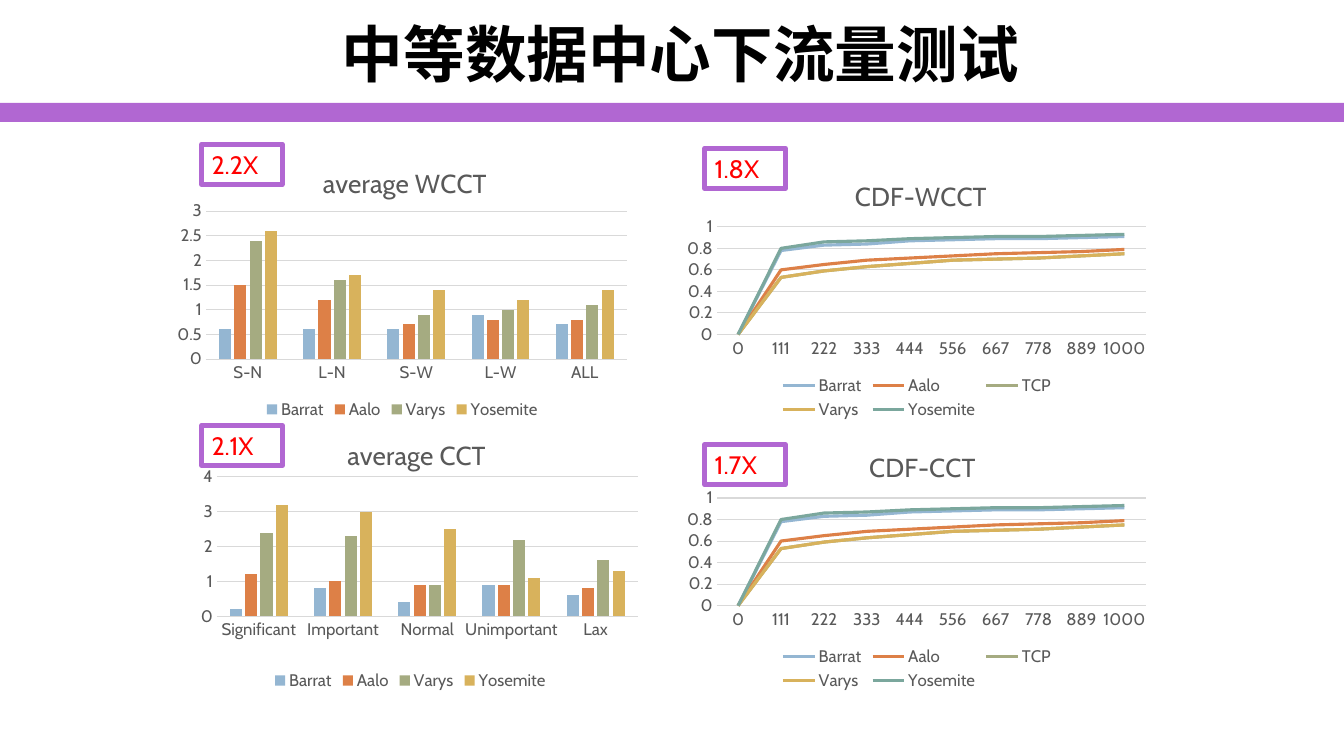
"""Build the slide of traffic test charts for a medium data centre."""
import lxml.etree
import pptx
import pptx.chart.data
import pptx.dml.color
import pptx.enum.chart
import pptx.enum.shapes
import pptx.enum.text
import pptx.oxml.ns
import pptx.util

Inches = pptx.util.Inches
Pt = pptx.util.Pt
RGBColor = pptx.dml.color.RGBColor
ChartType = pptx.enum.chart.XL_CHART_TYPE
qn = pptx.oxml.ns.qn

PURPLE = RGBColor(0xB1, 0x67, 0xD2)
RED = RGBColor(0xFF, 0x00, 0x00)
BLACK = RGBColor(0x00, 0x00, 0x00)
LABEL_GREY = RGBColor(0x59, 0x59, 0x59)
GRID_GREY = RGBColor(0xD9, 0xD9, 0xD9)
SERIES_COLORS = {
    "Barrat": RGBColor(0x94, 0xB6, 0xD2),
    "Aalo": RGBColor(0xDD, 0x80, 0x47),
    "TCP": RGBColor(0xA5, 0xAB, 0x81),
    "Varys": RGBColor(0xD8, 0xB2, 0x5C),
    "Yosemite": RGBColor(0x7B, 0xA7, 0x9D),
}
BAR_COLORS = {
    "Barrat": SERIES_COLORS["Barrat"],
    "Aalo": SERIES_COLORS["Aalo"],
    "Varys": SERIES_COLORS["TCP"],
    "Yosemite": SERIES_COLORS["Varys"],
}

WCCT_GROUPS = ["S-N", "L-N", "S-W", "L-W", "ALL"]
WCCT = {
    "Barrat": [0.6, 0.6, 0.6, 0.9, 0.7],
    "Aalo": [1.5, 1.2, 0.7, 0.8, 0.8],
    "Varys": [2.4, 1.6, 0.9, 1, 1.1],
    "Yosemite": [2.6, 1.7, 1.4, 1.2, 1.4],
}
CCT_GROUPS = ["Significant", "Important", "Normal", "Unimportant", "Lax"]
CCT = {
    "Barrat": [0.2, 0.8, 0.4, 0.9, 0.6],
    "Aalo": [1.2, 1, 0.9, 0.9, 0.8],
    "Varys": [2.4, 2.3, 0.9, 2.2, 1.6],
    "Yosemite": [3.2, 3, 2.5, 1.1, 1.3],
}
CDF_TIMES = [str(round(step * 1000 / 9)) for step in range(10)]
SLOWEST = [0, 0.53, 0.59, 0.63, 0.66, 0.69, 0.7, 0.71, 0.73, 0.75]
CDF = {
    "Barrat": [0, 0.78, 0.83, 0.84, 0.87, 0.88, 0.89, 0.89, 0.9, 0.91],
    "Aalo": [0, 0.6, 0.65, 0.69, 0.71, 0.73, 0.75, 0.76, 0.77, 0.79],
    "TCP": SLOWEST,
    "Varys": SLOWEST,
    "Yosemite": [0, 0.8, 0.86, 0.87, 0.89, 0.9, 0.91, 0.91, 0.92, 0.93],
}


class TrafficSlide:
    def __init__(self, presentation):
        self.font = "Cabin"
        self.title_font = "Noto Sans CJK SC"
        self.slide = presentation.slides.add_slide(presentation.slide_layouts[5])

    def style(self, font, size, color):
        font.name = self.font
        font.size = Pt(size)
        font.bold = False
        font.color.rgb = color

    def title(self, text):
        shape = self.slide.shapes.title
        shape.left, shape.top = Inches(0.45), Inches(0.14)
        shape.width, shape.height = Inches(12.61), Inches(0.77)
        shape.text_frame.text = text
        shape.text_frame.vertical_anchor = pptx.enum.text.MSO_ANCHOR.MIDDLE
        paragraph = shape.text_frame.paragraphs[0]
        paragraph.alignment = pptx.enum.text.PP_ALIGN.CENTER
        run = paragraph.runs[0]
        self.style(run.font, 44, BLACK)
        run.font.bold = True
        run.font.name = self.title_font
        properties = run.font._element
        lxml.etree.SubElement(properties, qn("a:ea"), typeface=self.title_font)

    def rectangle(self, left, top, width, height):
        shape = self.slide.shapes.add_shape(
            pptx.enum.shapes.MSO_SHAPE.RECTANGLE,
            Inches(left), Inches(top), Inches(width), Inches(height))
        shape.shadow.inherit = False
        return shape

    def band(self):
        shape = self.rectangle(0, 1.02, 13.33, 0.19)
        shape.fill.solid()
        shape.fill.fore_color.rgb = PURPLE
        shape.line.fill.background()

    def speedup(self, text, left, top):
        shape = self.rectangle(left, top, 0.8, 0.4)
        shape.fill.background()
        shape.line.color.rgb = PURPLE
        shape.line.width = Pt(3.5)
        frame = shape.text_frame
        frame.text = text
        frame.word_wrap = True
        frame.vertical_anchor = pptx.enum.text.MSO_ANCHOR.TOP
        frame.paragraphs[0].alignment = pptx.enum.text.PP_ALIGN.LEFT
        self.style(frame.paragraphs[0].runs[0].font, 18, RED)

    def place(self, parent, index, **values):
        for layout in parent.findall(qn("c:layout")):
            parent.remove(layout)
        layout = lxml.etree.SubElement(parent, qn("c:layout"))
        manual = lxml.etree.SubElement(layout, qn("c:manualLayout"))
        for name, value in values.items():
            lxml.etree.SubElement(manual, qn(f"c:{name}"), val=str(value))
        parent.insert(index, layout)

    def chart(self, kind, title, box, title_at, plot, categories, series, scale):
        data = pptx.chart.data.CategoryChartData()
        data.categories = categories
        for name, values in series.items():
            data.add_series(name, values)
        frame = self.slide.shapes.add_chart(kind, *map(Inches, box), data)
        chart = frame.chart
        self.style(chart.font, 12, LABEL_GREY)

        chart.has_title = True
        chart.chart_title.text_frame.text = title
        run = chart.chart_title.text_frame.paragraphs[0].runs[0]
        self.style(run.font, 18.6, LABEL_GREY)
        self.place(chart.chart_title._element, 1, xMode="edge", yMode="edge",
                   x=title_at[0], y=title_at[1])
        self.place(chart._chartSpace.chart.plotArea, 0, layoutTarget="inner",
                   xMode="edge", yMode="edge", **dict(zip("xywh", plot)))

        chart.has_legend = True
        chart.legend.position = pptx.enum.chart.XL_LEGEND_POSITION.BOTTOM
        chart.legend.include_in_layout = False
        self.style(chart.legend.font, 12, LABEL_GREY)
        self.axes(chart, *scale)
        self.series(chart, kind)

    def axes(self, chart, maximum, step):
        value_axis, category_axis = chart.value_axis, chart.category_axis
        for axis in (value_axis, category_axis):
            axis.major_tick_mark = pptx.enum.chart.XL_TICK_MARK.NONE
            self.style(axis.tick_labels.font, 12, LABEL_GREY)
        value_axis.minimum_scale = 0
        value_axis.maximum_scale = maximum
        value_axis.major_unit = step
        value_axis.format.line.fill.background()
        for line in (value_axis.major_gridlines.format.line, category_axis.format.line):
            line.color.rgb = GRID_GREY
            line.width = Pt(0.75)

    def series(self, chart, kind):
        plot = chart.plots[0]
        plot.vary_by_categories = False
        if kind == ChartType.COLUMN_CLUSTERED:
            plot.gap_width, plot.overlap = 219, -27
            for series in plot.series:
                series.format.fill.solid()
                series.format.fill.fore_color.rgb = BAR_COLORS[series.name]
            return
        for series in plot.series:
            series.smooth = False
            series.marker.style = pptx.enum.chart.XL_MARKER_STYLE.NONE
            series.format.line.color.rgb = SERIES_COLORS[series.name]
            series.format.line.width = Pt(2.25)


def main():
    presentation = pptx.Presentation()
    presentation.slide_width = Inches(13.33)
    presentation.slide_height = Inches(7.5)
    page = TrafficSlide(presentation)
    page.band()
    page.title("中等数据中心下流量测试")
    page.chart(ChartType.COLUMN_CLUSTERED, "average WCCT", (1.67, 1.43, 4.64, 2.77),
               (0.32, 0.06), (0.08, 0.24, 0.9, 0.53), WCCT_GROUPS, WCCT, (3, 0.5))
    page.chart(ChartType.COLUMN_CLUSTERED, "average CCT", (1.67, 4.12, 4.8, 2.77),
               (0.36, 0.06), (0.1, 0.22, 0.87, 0.5), CCT_GROUPS, CCT, (4, 1))
    for title, top, title_left in (("CDF-WCCT", 1.53, 0.36), ("CDF-CCT", 4.22, 0.39)):
        page.chart(ChartType.LINE, title, (6.73, top, 4.73, 2.67), (title_left, 0.07),
                   (0.08, 0.27, 0.9, 0.4), CDF_TIMES, CDF, (1, 0.2))
    for text, left, top in (("2.2X", 2, 1.43), ("1.8X", 6.99, 1.47),
                            ("2.1X", 2, 4.22), ("1.7X", 6.99, 4.41)):
        page.speedup(text, left, top)
    presentation.save("out.pptx")


if __name__ == "__main__":
    main()
